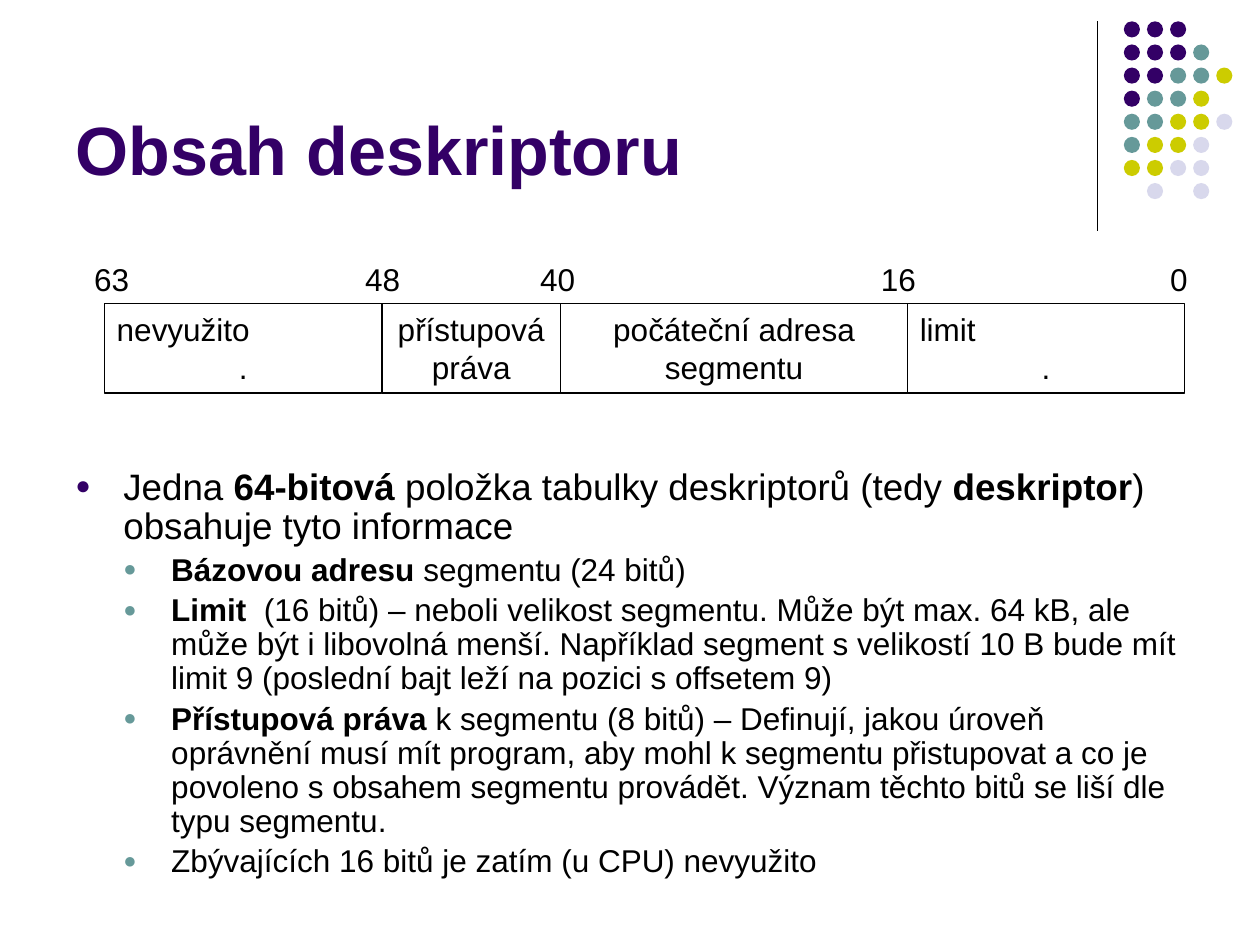
from itertools import pairwise

from lxml.etree import SubElement
from pptx import Presentation
from pptx.dml.color import RGBColor
from pptx.enum.shapes import MSO_CONNECTOR as Connector, MSO_SHAPE as Shape
from pptx.enum.text import MSO_ANCHOR as Anchor, PP_ALIGN as Align
from pptx.oxml.ns import qn
from pptx.util import Pt

BLACK = RGBColor(0x00, 0x00, 0x00)
PURPLE = RGBColor(0x33, 0x00, 0x66)
TEAL = RGBColor(0x66, 0x99, 0x99)
OLIVE = RGBColor(0xCC, 0xCC, 0x00)
LILAC = RGBColor(0xD8, 0xD8, 0xEC)
FONT = "Arial"

DOT_COLOURS = {"P": PURPLE, "T": TEAL, "O": OLIVE, "L": LILAC}
DOT_ROWS = ["PPP", "PPPT", "PPTTO", "PTTO", "TTOOL", "TOOL", "OOLL", "-L-L"]
DOT_PITCH, DOT_SIZE = 13.2, 9.2

# Descriptor fields, as (text, alignment) lines between consecutive edges
FIELD_EDGES = [59.6, 218.2, 320.4, 518.5, 677]
FIELDS = [
    [("nevyužito", Align.LEFT), (".", Align.CENTER)],
    [("přístupová práva", Align.CENTER)],
    [("počáteční adresa segmentu", Align.CENTER)],
    [("limit", Align.LEFT), (".", Align.CENTER)],
]
BIT_NUMBERS = ["63", "48", "40", "16", "0"]
BIT_TABS = [154.9, 254.9, 449.7, 614.9]

# Body items, as level and (text, bold) spans
ITEMS = [
    (0, [("Jedna ", False), ("64-bitová", True),
         (" položka tabulky deskriptorů (tedy ", False), ("deskriptor", True),
         (") obsahuje tyto informace", False)]),
    (1, [("Bázovou adresu", True), (" segmentu (24 bitů)", False)]),
    (1, [("Limit", True),
         ("  (16 bitů) – neboli velikost segmentu. Může být max. 64 kB, ale může "
          "být i libovolná menší. Například segment s velikostí 10 B bude mít "
          "limit 9 (poslední bajt leží na pozici s offsetem 9)", False)]),
    (1, [("Přístupová práva ", True),
         ("k segmentu (8 bitů) – Definují, jakou úroveň oprávnění musí mít "
          "program, aby mohl k segmentu přistupovat a co je povoleno s obsahem "
          "segmentu provádět. Význam těchto bitů se liší dle typu segmentu.", False)]),
    (1, [("Zbývajících 16 bitů je zatím (u CPU) nevyužito", False)]),
]
LEVEL_SIZES = [21, 18]
LEVEL_COLOURS = [PURPLE, TEAL]
LEVEL_INDENT = 27.4


def add_span(para, text, size=18, bold=False, colour=BLACK):
    span = para.add_run()
    span.text = text
    span.font.name = FONT
    span.font.size = Pt(size)
    span.font.bold = bold
    span.font.color.rgb = colour


def next_para(frame, first):
    return frame.paragraphs[0] if first else frame.add_paragraph()


def add_box(page, left, top, width, height, anchor=Anchor.TOP):
    box = page.shapes.add_textbox(Pt(left), Pt(top), Pt(width), Pt(height))
    box.text_frame.word_wrap = True
    box.text_frame.vertical_anchor = anchor
    return box.text_frame


def add_dots(page):
    group = page.shapes.add_group_shape()
    for row, pattern in enumerate(DOT_ROWS):
        for column, key in enumerate(pattern):
            if key not in DOT_COLOURS:
                continue
            dot = group.shapes.add_shape(
                Shape.OVAL, Pt(642.2 + column * DOT_PITCH),
                Pt(12.2 + row * DOT_PITCH), Pt(DOT_SIZE), Pt(DOT_SIZE))
            dot.shadow.inherit = False
            dot.fill.solid()
            dot.fill.fore_color.rgb = DOT_COLOURS[key]
            dot.line.fill.background()


def add_rule(page, x, top, bottom):
    rule = page.shapes.add_connector(
        Connector.STRAIGHT, Pt(x), Pt(top), Pt(x), Pt(bottom))
    rule.line.color.rgb = BLACK
    rule.line.width = Pt(0.75)
    SubElement(rule._element.spPr, qn("a:effectLst"))


def add_field(page, left, right, lines):
    field = page.shapes.add_shape(
        Shape.RECTANGLE, Pt(left), Pt(173.5), Pt(right - left), Pt(51.1))
    field.shadow.inherit = False
    field.fill.background()
    field.line.color.rgb = BLACK
    field.line.width = Pt(0.75)
    frame = field.text_frame
    frame.word_wrap = True
    frame.vertical_anchor = Anchor.TOP
    for index, (text, align) in enumerate(lines):
        para = next_para(frame, index == 0)
        para.alignment = align
        add_span(para, text)


def add_bit_numbers(page):
    frame = add_box(page, 36.7, 145, 668.9, 28.8)
    frame.margin_left = Pt(17)
    para = frame.paragraphs[0]
    tabs = SubElement(para._p.get_or_add_pPr(), qn("a:tabLst"))
    for position in BIT_TABS:
        SubElement(tabs, qn("a:tab"), pos=str(Pt(position)), algn="l")
    add_span(para, "\t".join(BIT_NUMBERS))


def set_bullet(para, level):
    props = para._p.get_or_add_pPr()
    props.set("marL", str(Pt(LEVEL_INDENT * (level + 1))))
    props.set("indent", str(Pt(-LEVEL_INDENT)))
    colour = SubElement(props, qn("a:buClr"))
    SubElement(colour, qn("a:srgbClr"), val=str(LEVEL_COLOURS[level]))
    SubElement(props, qn("a:buSzPct"), val="70000")
    SubElement(props, qn("a:buFont"), typeface=FONT)
    SubElement(props, qn("a:buChar"), char="●")


def add_body(page):
    frame = add_box(page, 36, 264.2, 648, 218.2)
    for index, (level, spans) in enumerate(ITEMS):
        para = next_para(frame, index == 0)
        set_bullet(para, level)
        para.level = level
        para.line_spacing = 0.9
        para.space_before = Pt(3.6 if index else 0)
        for text, bold in spans:
            add_span(para, text, size=LEVEL_SIZES[level], bold=bold)


def main():
    deck = Presentation()
    deck.slide_width, deck.slide_height = Pt(720), Pt(540)
    page = deck.slides.add_slide(deck.slide_layouts[6])

    # Corner decoration
    add_rule(page, 627.1, 12.2, 131.8)
    add_dots(page)

    # Title and body
    title = add_box(page, 36, 9.4, 594, 102.2, anchor=Anchor.BOTTOM)
    add_span(title.paragraphs[0], "Obsah deskriptoru", size=39, bold=True, colour=PURPLE)
    add_body(page)

    # Descriptor layout with bit numbers
    for (left, right), lines in zip(pairwise(FIELD_EDGES), FIELDS):
        add_field(page, left, right, lines)
    add_bit_numbers(page)

    deck.save("out.pptx")


if __name__ == "__main__":
    main()
